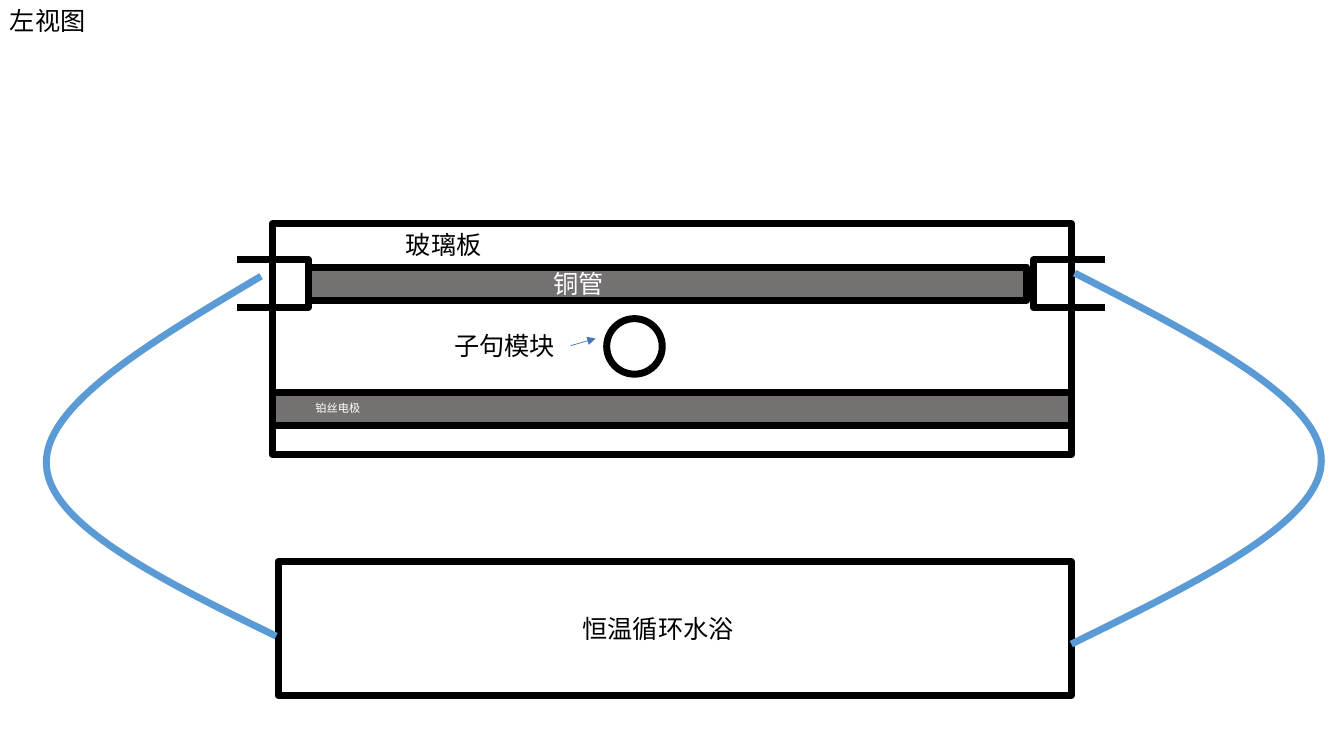
from lxml.etree import SubElement
from pptx import Presentation
from pptx.dml.color import RGBColor
from pptx.enum.shapes import MSO_CONNECTOR, MSO_SHAPE
from pptx.enum.text import MSO_AUTO_SIZE
from pptx.oxml.ns import qn
from pptx.util import Cm, Pt

BLACK, WHITE, GREY = "000000", "FFFFFF", "767171"
HOSE, ARROW = "5B9BD5", "4472C4"


def color(code):
    return RGBColor.from_string(code)


class Sketch:
    font = "Noto Sans CJK SC"
    weight = 5

    def __init__(self, slide):
        self.shapes = slide.shapes

    def outline(self, shape, line, fill=None):
        shape.shadow.inherit = False
        if fill:
            shape.fill.solid()
            shape.fill.fore_color.rgb = color(fill)
        else:
            shape.fill.background()
        shape.line.color.rgb = color(line)
        shape.line.width = Pt(self.weight)

    def block(self, box, fill=None, kind=MSO_SHAPE.RECTANGLE):
        shape = self.shapes.add_shape(kind, *map(Cm, box))
        self.outline(shape, BLACK, fill)

    def route(self, points, line=BLACK):
        start, *rest = [(Cm(x), Cm(y)) for x, y in points]
        pen = self.shapes.build_freeform(*start)
        pen.add_line_segments(rest, close=False)
        shape = pen.convert_to_shape()
        self.outline(shape, line)
        return shape

    def curve(self, points, line):
        shape = self.route(points, line)
        trail = next(shape.element.iter(qn("a:path")))
        steps = trail.findall(qn("a:lnTo"))
        for first in range(0, len(steps), 3):
            bend = SubElement(trail, qn("a:cubicBezTo"))
            for step in steps[first:first + 3]:
                bend.append(step[0])
                trail.remove(step)

    def label(self, text, left, top, width, height=1.02, size=18, ink=BLACK):
        frame = self.shapes.add_textbox(*map(Cm, (left, top, width, height))).text_frame
        frame.word_wrap = False
        frame.auto_size = MSO_AUTO_SIZE.SHAPE_TO_FIT_TEXT
        run = frame.paragraphs[0].add_run()
        run.text = text
        run.font.size = Pt(size)
        run.font.color.rgb = color(ink)
        run.font.name = self.font
        SubElement(run.font._element, qn("a:ea"), typeface=self.font)

    def arrow(self, ends, line, width):
        link = self.shapes.add_connector(MSO_CONNECTOR.STRAIGHT, *map(Cm, ends))
        link.line.color.rgb = color(line)
        link.line.width = Pt(width)
        SubElement(link.line._get_or_add_ln(), qn("a:tailEnd"), type="triangle")
        SubElement(link.element.spPr, qn("a:effectLst"))


def main():
    deck = Presentation()
    deck.slide_width, deck.slide_height = Cm(33.87), Cm(19.05)
    sketch = Sketch(deck.slides.add_slide(deck.slide_layouts[6]))

    sketch.block((7.01, 14.15, 19.99, 3.38))
    sketch.block((6.86, 5.64, 20.14, 5.82))
    sketch.label("恒温循环水浴", 14.43, 15.32, 4.37)
    sketch.block((6.86, 9.88, 20.14, 0.84), GREY)

    for outer, inner in ((5.97, 7.77), (27.86, 26.04)):
        sketch.route([(outer, 6.55), (inner, 6.55), (inner, 7.75), (outer, 7.75)])

    sketch.curve([(6.96, 16.03), (4.09, 14.63), (1.22, 13.21), (1.17, 11.71),
                  (1.09, 10.21), (3.84, 8.59), (6.58, 6.96)], HOSE)
    sketch.curve([(27.08, 6.88), (30.2, 8.48), (33.32, 10.06), (33.3, 11.61),
                  (33.3, 13.16), (30.15, 14.68), (27, 16.23)], HOSE)

    sketch.label("铂丝电极", 7.7, 9.98, 1.65, 0.61, 8, WHITE)
    sketch.block((7.77, 6.73, 18.11, 0.84), GREY)
    sketch.label("铜管", 13.69, 6.63, 1.8, ink=WHITE)
    sketch.block((15.29, 8.03, 1.4, 1.4), kind=MSO_SHAPE.OVAL)
    sketch.label("子句模块", 11.2, 8.2, 3.18)
    sketch.arrow((14.38, 8.71, 15.01, 8.53), ARROW, 0.5)
    sketch.label("玻璃板", 9.98, 5.66, 2.44)
    sketch.label("左视图", 0, 0, 2.44)

    deck.save("out.pptx")


if __name__ == "__main__":
    main()
